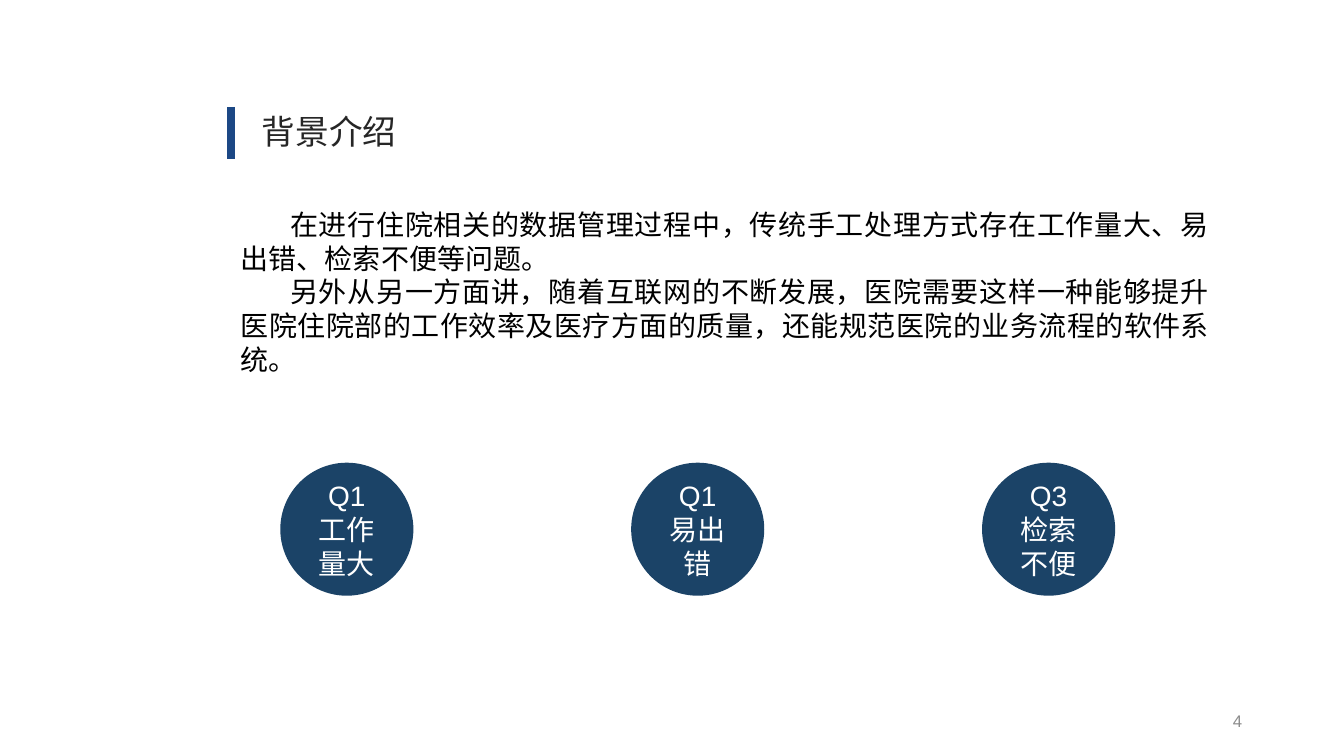
import pptx
import pptx.util
import pptx.dml.color
import pptx.enum.shapes
import pptx.enum.text
import pptx.oxml.ns
import lxml.etree

Inches = pptx.util.Inches
Pt = pptx.util.Pt
ALIGN = pptx.enum.text.PP_ALIGN
ANCHOR = pptx.enum.text.MSO_ANCHOR
COLORS = {"title": "262626", "bar": "1C4885", "body": "000000",
          "circle": "1B4367", "white": "FFFFFF", "number": "8C8C8C"}


class Deck:
    font = "Arial"

    def __init__(self, prs):
        self.s = prs.slides.add_slide(prs.slide_layouts[5])

    def color(self, name):
        return pptx.dml.color.RGBColor.from_string(COLORS[name])

    def fill_text(self, sp, lines, size, color, align, anchor=ANCHOR.TOP, indent=0):
        tf = sp.text_frame
        tf.word_wrap = True
        tf.auto_size = pptx.enum.text.MSO_AUTO_SIZE.NONE
        tf.vertical_anchor = anchor
        for i, line in enumerate(lines):
            p = tf.add_paragraph() if i else tf.paragraphs[0]
            p.alignment = align
            p.line_spacing = 1.0
            p.space_before = Pt(0)
            if indent:
                p._p.get_or_add_pPr().set("indent", str(Inches(indent)))
            r = p.add_run()
            r.text = line
            r.font.name = self.font
            r.font.size = Pt(size)
            r.font.color.rgb = self.color(color)

    def title(self, text, x, y, w, h):
        sp = self.s.shapes.title
        sp.left, sp.top, sp.width, sp.height = map(Inches, (x, y, w, h))
        self.fill_text(sp, [text], 24, "title", ALIGN.CENTER)

    def text(self, lines, x, y, w, h, size, color, align, **kw):
        sp = self.s.shapes.add_textbox(*map(Inches, (x, y, w, h)))
        self.fill_text(sp, lines, size, color, align, **kw)

    def line(self, x1, y1, x2, y2, color, width):
        c = self.s.shapes.add_connector(
            pptx.enum.shapes.MSO_CONNECTOR.STRAIGHT,
            *map(Inches, (x1, y1, x2, y2)))
        c.line.color.rgb = self.color(color)
        c.line.width = Pt(width)
        lxml.etree.SubElement(c._element.spPr, pptx.oxml.ns.qn("a:effectLst"))

    def circle(self, lines, x, y, d):
        sp = self.s.shapes.add_shape(
            pptx.enum.shapes.MSO_SHAPE.FLOWCHART_CONNECTOR,
            *map(Inches, (x, y, d, d)))
        sp.shadow.inherit = False
        sp.fill.solid()
        sp.fill.fore_color.rgb = self.color("circle")
        sp.line.fill.background()
        self.fill_text(sp, lines, 20, "white", ALIGN.CENTER, ANCHOR.MIDDLE)


prs = pptx.Presentation()
prs.slide_width = Inches(13.33)
prs.slide_height = Inches(7.5)
deck = Deck(prs)

deck.title("背景介绍", 2.1, 1.05, 2.33, 0.5)
deck.line(2.29, 1.06, 2.29, 1.58, "bar", 6)
deck.text(
    ["在进行住院相关的数据管理过程中，传统手工处理方式存在工作量大、易出错、检索不便等问题。",
     "另外从另一方面讲，随着互联网的不断发展，医院需要这样一种能够提升医院住院部的工作效率"
     "及医疗方面的质量，还能规范医院的业务流程的软件系统。"],
    2.29, 2.01, 9.8, 5.15, 20, "body", ALIGN.JUSTIFY, indent=0.49)

problems = [("Q1", "工作量大"), ("Q1", "易出错"), ("Q3", "检索不便")]
for i, lines in enumerate(problems):
    deck.circle(lines, 2.78 + i * 3.48, 4.59, 1.32)

deck.text(["4"], 9.42, 6.95, 3, 0.4, 12, "number", ALIGN.RIGHT,
          anchor=ANCHOR.MIDDLE)

prs.save("out.pptx")
